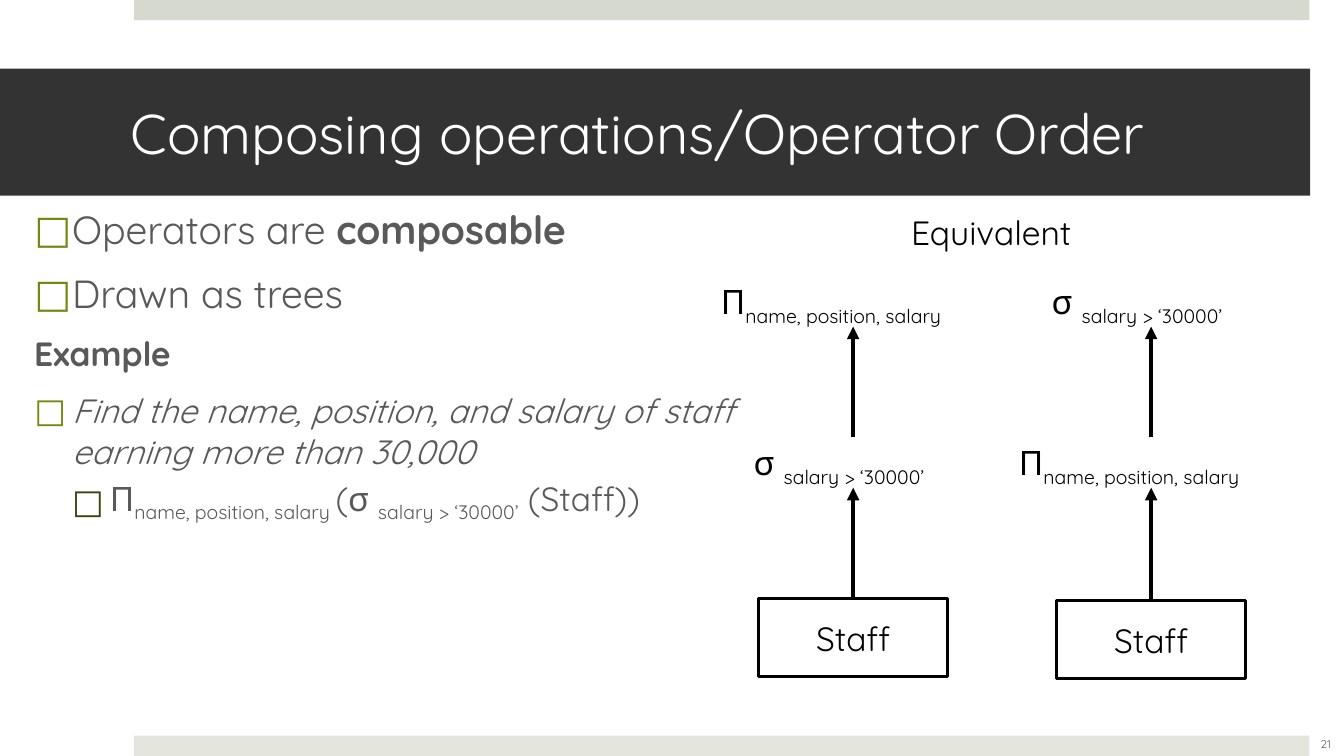
from lxml import etree
from pptx import Presentation
from pptx.dml.color import RGBColor
from pptx.enum import shapes, text
from pptx.oxml import ns
from pptx.util import Cm, Pt

FONT = "Quicksand"
BLACK, WHITE, GREY, DARK = "000000", "FFFFFF", "595959", "333333"
GREEN, DEEP_GREEN = "6F8A0F", "384508"

# Content: runs are (text, style), where style is "", "b", "i" or "sub"
TITLE = "Composing operations/Operator Order"
PAGE_NUMBER = "21"
HEADING = "Equivalent"
RELATION = "Staff"
SELECT = [("σ ", ""), ("salary > ‘30000’", "sub")]
PROJECT = [("Π", ""), ("name, position, salary", "sub")]
# runs, size, space before, bullet colour, left indent in cm
BODY = [
    ([("Operators are ", ""), ("composable", "b")], 28, 0, GREEN, 0.96),
    ([("Drawn as trees", "")], 28, 12, GREEN, 0.96),
    ([("Example", "b")], 24, 12, None, 0),
    ([("Find the name, position, and salary of staff earning more than 30,000", "i")],
     24, 12, GREEN, 0.96),
    ([("Π", ""), ("name, position, salary ", "sub"), ("(σ ", ""),
      ("salary > ‘30000’", "sub"), (" (Staff))", "")], 24, 5, DEEP_GREEN, 1.91),
]
# axis, top of the relation box, operators from top to bottom
TREES = [(21.5, 15.09, [PROJECT, SELECT]), (29.01, 15.14, [SELECT, PROJECT])]
OPERATOR_TOPS = [6.96, 11.02]
OPERATOR_HEIGHT = 1.27
OPERATOR_WIDTHS = {"σ ": 5.51, "Π": 7.16}
RELATION_SIZE = (4.78, 1.96)
BANDS = [(3.38, 0, 29.62, 0.51, "D6D9CD"), (3.38, 18.54, 29.62, 0.51, "E4E6DE")]
BULLET_HANG = 0.95

deck = Presentation()
deck.slide_width, deck.slide_height = Cm(33.87), Cm(19.05)
slide = deck.slides.add_slide(deck.slide_layouts[6])


def colour(value):
    return RGBColor.from_string(value)


def write(paragraph, runs, size, ink):
    for words, style in runs:
        run = paragraph.add_run()
        run.text = words
        run.font.name, run.font.size = FONT, Pt(size)
        run.font.color.rgb = colour(ink)
        run.font.bold, run.font.italic = style == "b", style == "i"
        if style == "sub":
            run._r.get_or_add_rPr().set("baseline", "-25000")


def add_rect(left, top, width, height, fill, line=None):
    rect = slide.shapes.add_shape(shapes.MSO_SHAPE.RECTANGLE,
                                  Cm(left), Cm(top), Cm(width), Cm(height))
    rect.shadow.inherit = False
    rect.fill.solid()
    rect.fill.fore_color.rgb = colour(fill)
    if line:
        rect.line.color.rgb, rect.line.width = colour(line), Pt(2)
    else:
        rect.line.fill.background()
    rect.text_frame.vertical_anchor = text.MSO_ANCHOR.MIDDLE
    return rect.text_frame


def add_text(left, top, width, height, wrap=True):
    frame = slide.shapes.add_textbox(Cm(left), Cm(top), Cm(width), Cm(height)).text_frame
    frame.word_wrap = wrap
    return frame


def add_label(left, top, width, runs):
    label = add_text(left, top, width, OPERATOR_HEIGHT, wrap=False)
    label.auto_size = text.MSO_AUTO_SIZE.SHAPE_TO_FIT_TEXT
    write(label.paragraphs[0], runs, 24, BLACK)


def add_bullet(paragraph, ink, indent):
    props = paragraph._p.get_or_add_pPr()
    props.set("marL", str(Cm(indent)))
    props.set("indent", str(-Cm(BULLET_HANG)))
    bullet_colour = etree.SubElement(props, ns.qn("a:buClr"))
    etree.SubElement(bullet_colour, ns.qn("a:srgbClr")).set("val", ink)
    etree.SubElement(props, ns.qn("a:buFont")).set("typeface", FONT)
    etree.SubElement(props, ns.qn("a:buChar")).set("char", "□")


def add_arrow(x, start, end):
    arrow = slide.shapes.add_connector(shapes.MSO_CONNECTOR.STRAIGHT,
                                       Cm(x), Cm(start), Cm(x), Cm(end))
    arrow.line.color.rgb, arrow.line.width = colour(BLACK), Pt(3)
    etree.SubElement(arrow.line._get_or_add_ln(), ns.qn("a:tailEnd")).set("type", "triangle")
    etree.SubElement(arrow._element.spPr, ns.qn("a:effectLst"))


# Bands and title
for left, top, width, height, fill in BANDS:
    add_rect(left, top, width, height, fill)
title = add_rect(0, 1.73, 33.02, 3.2, DARK)
title.margin_left, title.margin_right = Cm(3.3), Cm(0.76)
title.paragraphs[0].alignment = text.PP_ALIGN.LEFT
write(title.paragraphs[0], [(TITLE, "")], 40, WHITE)

# Bulleted explanation
body = add_text(0.61, 5.05, 18.67, 13.18)
for number, (runs, size, before, bullet, indent) in enumerate(BODY):
    point = body.add_paragraph() if number else body.paragraphs[0]
    if before:
        point.space_before = Pt(before)
    if bullet:
        add_bullet(point, bullet, indent)
    write(point, runs, size, GREY)

# Page number
page = add_text(32.56, 18.24, 1.7, 1.02)
page.vertical_anchor = text.MSO_ANCHOR.MIDDLE
page.paragraphs[0].alignment = text.PP_ALIGN.CENTER
write(page.paragraphs[0], [(PAGE_NUMBER, "")], 8, GREY)

# Equivalent operator trees
add_label(22.71, 5.21, 4.83, [(HEADING, "")])
for axis, relation_top, operators in TREES:
    width, height = RELATION_SIZE
    relation = add_rect(axis - width / 2, relation_top, width, height, WHITE, BLACK)
    relation.paragraphs[0].alignment = text.PP_ALIGN.CENTER
    write(relation.paragraphs[0], [(RELATION, "")], 24, BLACK)
    arrow_starts = OPERATOR_TOPS[1:] + [relation_top]
    for operator, top, start in zip(operators, OPERATOR_TOPS, arrow_starts):
        width = OPERATOR_WIDTHS[operator[0][0]]
        add_label(axis - width / 2, top, width, operator)
        add_arrow(axis, start, top + OPERATOR_HEIGHT)

deck.save("out.pptx")
